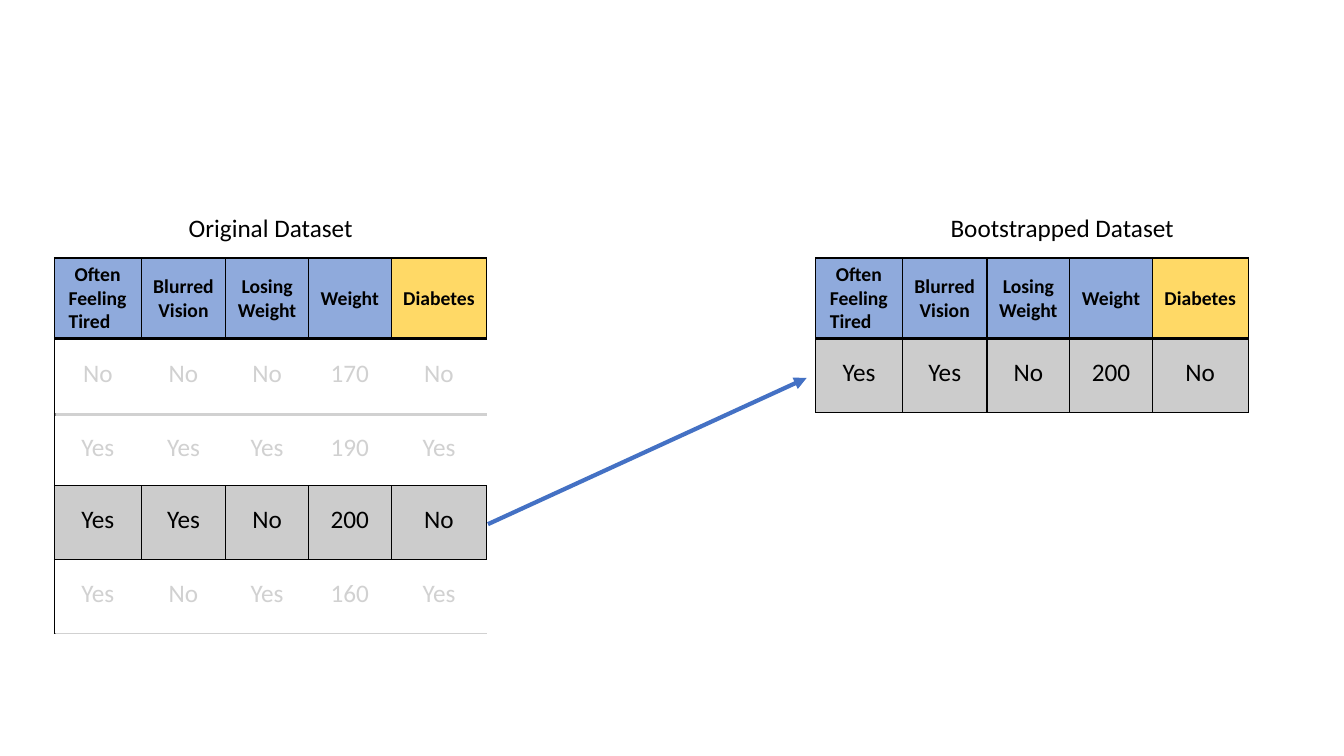
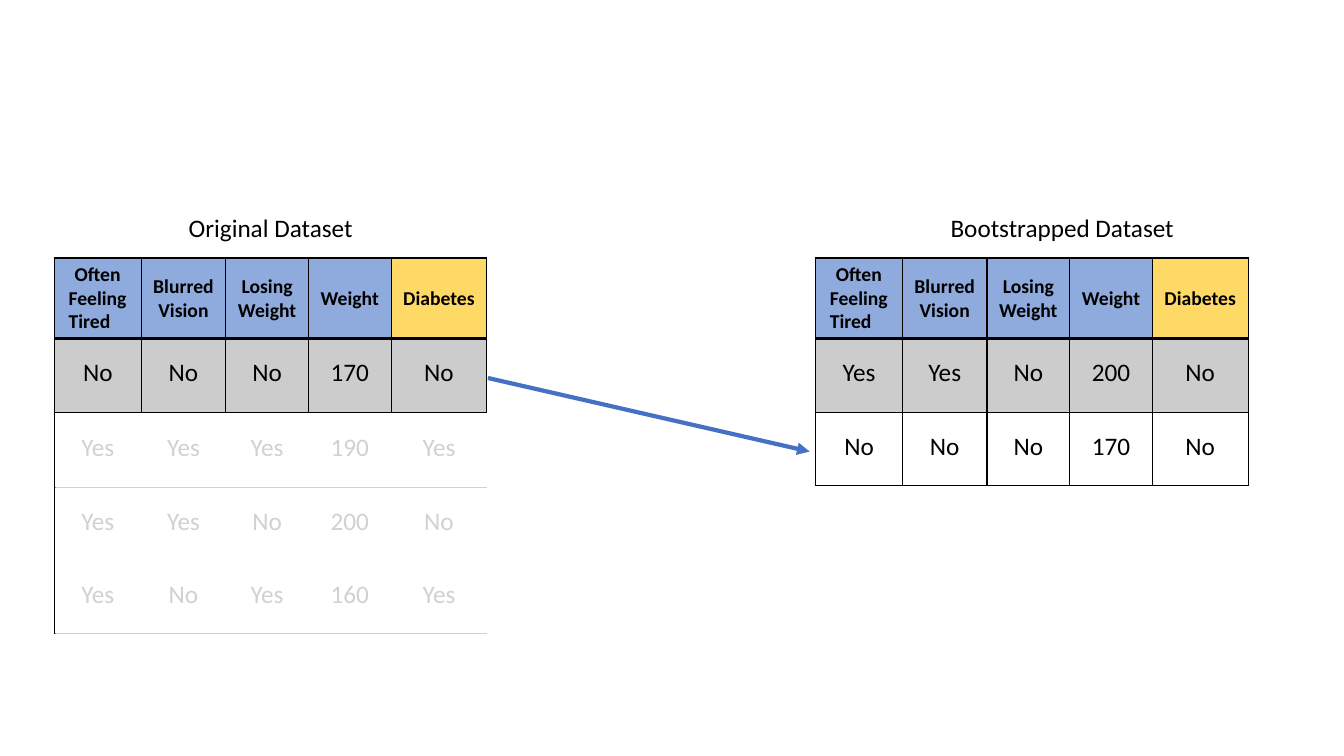
import pptx
import pptx.util
import pptx.dml.color
import pptx.enum.shapes
import pptx.enum.text
import pptx.oxml.ns
import lxml.etree

Inches = pptx.util.Inches
ALIGN = pptx.enum.text.PP_ALIGN
MIDDLE = pptx.enum.text.MSO_ANCHOR.MIDDLE

FONT = "Calibri"
BLACK, WHITE, GREY = "000000", "FFFFFF", "CCCCCC"
BLUE, GOLD, ARROW = "8FAADC", "FFD966", "4471C4"

HEADS = ["Often Feeling Tired", "Blurred Vision", "Losing Weight", "Weight", "Diabetes"]
COLS = [0.86, 0.84, 0.82, 0.82, 0.95]
HEAD_H, TOP = 0.8, 2.56
LEFT_X, RIGHT_X = 0.54, 8.09

DATA = [
    ["No", "No", "No", "170", "No"],
    ["Yes", "Yes", "Yes", "190", "Yes"],
    ["Yes", "Yes", "No", "200", "No"],
    ["Yes", "No", "Yes", "160", "Yes"],
]
TITLES = [("Original Dataset", 1.86, 1.65), ("Bootstrapped Dataset", 9.41, 2.25)]

SLIDES = [
    {
        "heights": [0.75, 0.71, 0.73, 0.73],
        "rules": [2.25, 2.25, 1, 1, 0.75],
        "picked": 2,
        "drawn": [2],
        "shaded": [0],
        "veils": [(0, 1), (3, 3)],
        "arrow": (4.84, 5.2, 8, 3.75),
    },
    {
        "heights": [0.73, 0.75, 0.73, 0.71],
        "rules": [2.25, 1, 1, 0, 0.75],
        "picked": 0,
        "drawn": [2, 0],
        "shaded": [0],
        "veils": [(1, 3)],
        "arrow": (4.84, 3.75, 8.03, 4.48),
    },
]


def tint(code):
    return pptx.dml.color.RGBColor.from_string(code)


def add(parent, tag, **attrs):
    node = lxml.etree.SubElement(parent, pptx.oxml.ns.qn(tag))
    for key, value in attrs.items():
        node.set(key, str(value))
    return node


def write(frame, text, size=18, bold=False, color=BLACK, align=ALIGN.CENTER, indent=None):
    para = frame.paragraphs[0]
    para.alignment = align
    run = para.add_run()
    run.text = text
    run.font.name = FONT
    run.font.size = pptx.util.Pt(size)
    run.font.bold = bold
    run.font.color.rgb = tint(color)
    if indent:
        props = para._p.get_or_add_pPr()
        props.set("marL", str(Inches(indent[0])))
        props.set("indent", str(Inches(indent[1])))


def edge(cell, left, right, top, bottom):
    props = cell._tc.get_or_add_tcPr()
    for tag, width in zip(("a:lnL", "a:lnR", "a:lnT", "a:lnB"), (left, right, top, bottom)):
        line = add(props, tag, w=pptx.util.Pt(width))
        if width:
            add(add(line, "a:solidFill"), "a:srgbClr", val=BLACK)
        else:
            add(line, "a:noFill")


def style(cell, fill, edges):
    cell.margin_left = cell.margin_right = cell.margin_top = cell.margin_bottom = 0
    cell.vertical_anchor = MIDDLE
    edge(cell, *edges)
    if fill:
        cell.fill.solid()
        cell.fill.fore_color.rgb = tint(fill)
    else:
        cell.fill.background()


def grid(slide, left, rows, heights, rules, shaded, boxed):
    heights = [HEAD_H] + heights
    frame = slide.shapes.add_table(
        len(heights), len(COLS), Inches(left), Inches(TOP),
        Inches(sum(COLS)), Inches(sum(heights)))
    table = frame.table
    table.horz_banding = False
    for col, width in zip(table.columns, COLS):
        col.width = Inches(width)
    for row, height in zip(table.rows, heights):
        row.height = Inches(height)
    last = len(COLS) - 1
    for j, head in enumerate(HEADS):
        cell = table.cell(0, j)
        style(cell, GOLD if j == last else BLUE, (1, 1, 1, rules[0]))
        form = {"align": ALIGN.LEFT, "indent": (0.14, 0.06)} if j == 0 else {}
        write(cell.text_frame, head, size=14, bold=True, **form)
    for i, row in enumerate(rows):
        for j, text in enumerate(row):
            cell = table.cell(i + 1, j)
            full = i in boxed
            sides = (int(full or j == 0), int(full))
            style(cell, GREY if i in shaded else None, (*sides, rules[i], rules[i + 1]))
            cell.margin_bottom = Inches(0.05)
            write(cell.text_frame, text)


def label(slide, text, left, width):
    box = slide.shapes.add_textbox(Inches(left), Inches(2.09), Inches(width), Inches(0.33))
    frame = box.text_frame
    frame.word_wrap = False
    frame.vertical_anchor = MIDDLE
    frame.margin_left = frame.margin_right = frame.margin_top = frame.margin_bottom = 0
    write(frame, text)


def veil(slide, first, last, heights):
    base = TOP + HEAD_H
    top = base + sum(heights[:first]) + 0.02
    end = base + sum(heights[:last + 1]) + (0.01 if last == len(heights) - 1 else -0.02)
    shape = slide.shapes.add_shape(
        pptx.enum.shapes.MSO_SHAPE.RECTANGLE, Inches(LEFT_X + 0.01), Inches(top),
        Inches(sum(COLS)), Inches(end - top))
    shape.shadow.inherit = False
    shape.line.fill.background()
    shape.fill.solid()
    shape.fill.fore_color.rgb = tint(WHITE)
    shade = shape._element.spPr.find(".//" + pptx.oxml.ns.qn("a:srgbClr"))
    add(shade, "a:alpha", val=82000)


def arrow(slide, ends):
    line = slide.shapes.add_connector(
        pptx.enum.shapes.MSO_CONNECTOR.STRAIGHT, *[Inches(v) for v in ends])
    line.line.color.rgb = tint(ARROW)
    line.line.width = pptx.util.Pt(3)
    add(line.line._get_or_add_ln(), "a:tailEnd", type="triangle", w="med", len="med")
    add(line._element.spPr, "a:effectLst")


def build(deck, plan):
    slide = deck.slides.add_slide(deck.slide_layouts[6])
    heights, drawn = plan["heights"], plan["drawn"]
    grid(slide, LEFT_X, DATA, heights, plan["rules"], [plan["picked"]], [plan["picked"]])
    count = len(drawn)
    grid(slide, RIGHT_X, [DATA[i] for i in drawn], [0.73] * count,
         [2.25] + [1] * count, plan["shaded"], range(count))
    for title in TITLES:
        label(slide, *title)
    for first, last in plan["veils"]:
        veil(slide, first, last, heights)
    arrow(slide, plan["arrow"])


def main():
    deck = pptx.Presentation()
    deck.slide_width, deck.slide_height = Inches(13.33), Inches(7.5)
    for plan in SLIDES:
        build(deck, plan)
    deck.save("out.pptx")


if __name__ == "__main__":
    main()
